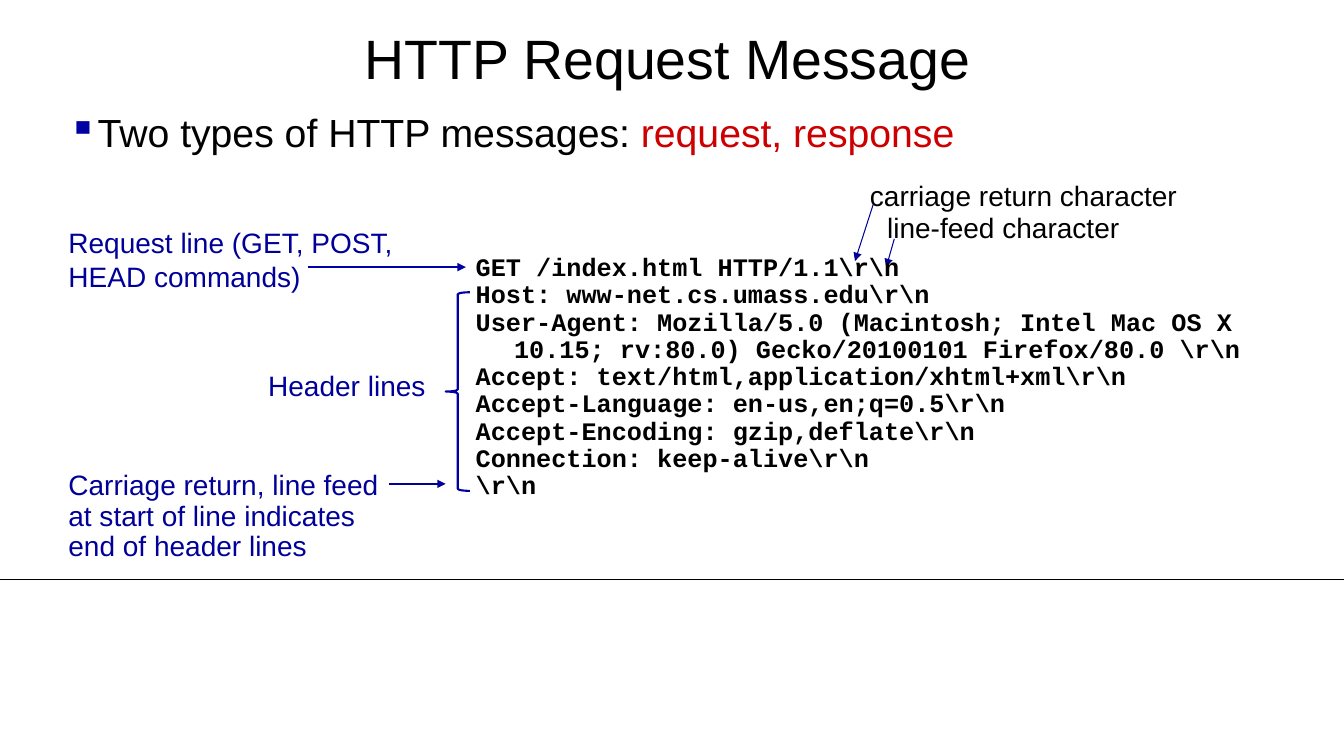
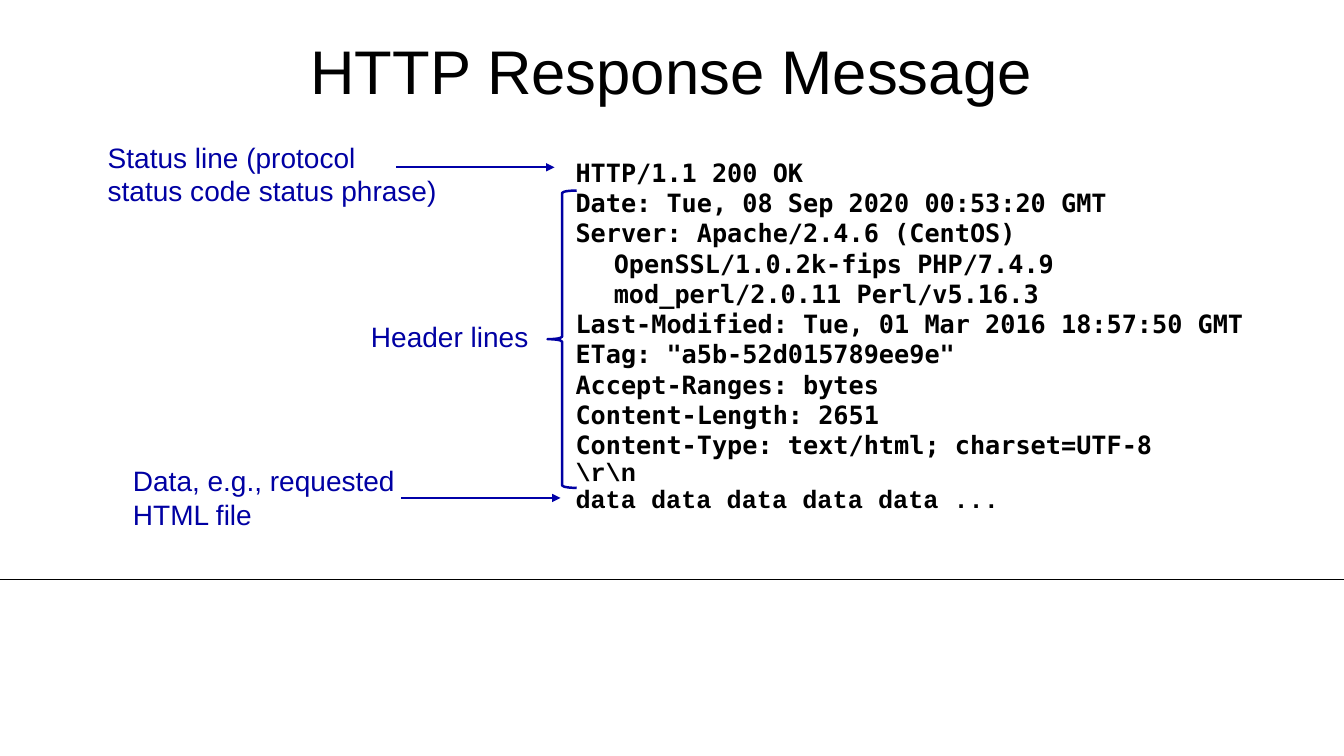
from dataclasses import dataclass, field
from typing import Any, NamedTuple

from lxml.etree import SubElement
from pptx import Presentation
from pptx.dml.color import RGBColor
from pptx.enum.shapes import MSO_CONNECTOR, MSO_SHAPE
from pptx.enum.text import MSO_ANCHOR, PP_ALIGN
from pptx.oxml.ns import qn
from pptx.slide import Slide
from pptx.util import Inches, Pt

SLIDE_WIDTH = Inches(13.33)
SLIDE_HEIGHT = Inches(7.5)
GRID_ROWS = 75
CELL = SLIDE_HEIGHT / GRID_ROWS
GRID_COLUMNS = SLIDE_WIDTH / CELL
FOOTER_ROW = 57.5

BLACK = RGBColor(0x00, 0x00, 0x00)
WHITE = RGBColor(0xFF, 0xFF, 0xFF)
RED = RGBColor(0xCC, 0x00, 0x00)
NAVY = RGBColor(0x00, 0x00, 0x99)
BLUE = RGBColor(0x00, 0x00, 0xA3)
ARROW_BLUE = RGBColor(0x00, 0x00, 0xA8)


class Area(NamedTuple):
    column: float
    row: float
    columns: float
    rows: float


@dataclass(frozen=True)
class Style:
    size: float
    color: RGBColor = BLACK
    face: str = "Arial"
    bold: bool = False
    hanging: float = 0
    bullet: str = ""
    format: dict[str, Any] = field(default_factory=dict)


class Passage(NamedTuple):
    style: Style
    lines: tuple[str, ...]
    accent: str = ""


@dataclass(frozen=True)
class TextBox:
    area: Area
    passages: tuple[Passage, ...]
    wrap: bool = True
    anchor: MSO_ANCHOR = MSO_ANCHOR.TOP


class Line(NamedTuple):
    start: tuple[float, float]
    end: tuple[float, float]
    color: RGBColor = ARROW_BLUE
    weight: float = 1.5
    arrow: bool = True


class Brace(NamedTuple):
    area: Area
    weight: float


class SlideContent(NamedTuple):
    boxes: tuple[TextBox, ...]
    lines: tuple[Line, ...]
    brace: Brace


TIGHT = {"line_spacing": 0.9}
RIGHT = {"alignment": PP_ALIGN.RIGHT}
BULLET_POINT = Style(28, hanging=2.6, bullet="▪", format=TIGHT)
CHARACTER_NOTE = Style(20)
REQUEST_NOTE = Style(20, NAVY)
REQUEST_END_NOTE = Style(20, NAVY, format=TIGHT)
REQUEST_HEADER_NOTE = Style(20, NAVY, format=TIGHT | RIGHT)
RESPONSE_NOTE = Style(20, BLUE)
RESPONSE_HEADER_NOTE = Style(20, BLUE, format=RIGHT)
COURIER_CODE = Style(18, face="Courier New", bold=True, hanging=3.8, format=TIGHT)
DEJAVU_CODE = Style(18, face="DejaVu Sans Mono", bold=True, hanging=3.8)
FOOTER_LINE = Line((0, FOOTER_ROW), (GRID_COLUMNS, FOOTER_ROW), BLACK, 0.5, False)


def title(text: str, area: Area, size: float) -> TextBox:
    style = Style(size, format=TIGHT | {"alignment": PP_ALIGN.CENTER})
    return TextBox(area, (Passage(style, (text,)),), anchor=MSO_ANCHOR.MIDDLE)


def note(area: Area, style: Style, *lines: str, wrap: bool = True) -> TextBox:
    return TextBox(area, (Passage(style, lines),), wrap)


REQUEST = SlideContent(
    boxes=(
        title("HTTP Request Message", Area(8.7, 2.8, 115, 6.6), 39.6),
        TextBox(
            Area(5.8, 10.8, 127.5, 15.6),
            (Passage(BULLET_POINT, ("Two types of HTTP messages: ",), "request, response"),),
        ),
        note(Area(25, 36.4, 18.2, 4.1), REQUEST_HEADER_NOTE, "Header lines"),
        note(
            Area(46.2, 24.8, 86.6, 25.6),
            COURIER_CODE,
            r"GET /index.html HTTP/1.1\r\n",
            r"Host: www-net.cs.umass.edu\r\n",
            r"User-Agent: Mozilla/5.0 (Macintosh; Intel Mac OS X 10.15; rv:80.0) "
            r"Gecko/20100101 Firefox/80.0 \r\n",
            r"Accept: text/html,application/xhtml+xml\r\n",
            r"Accept-Language: en-us,en;q=0.5\r\n",
            r"Accept-Encoding: gzip,deflate\r\n",
            r"Connection: keep-alive\r\n",
            r"\r\n",
        ),
        note(Area(85.3, 17.2, 32.6, 4.4), CHARACTER_NOTE, "carriage return character", wrap=False),
        note(Area(87, 20.4, 25.4, 4.4), CHARACTER_NOTE, "line-feed character", wrap=False),
        note(Area(5.8, 21.9, 34.6, 7.7), REQUEST_NOTE, "Request line (GET, POST,", "HEAD commands)"),
        note(
            Area(5.8, 46.3, 35.3, 10.1),
            REQUEST_END_NOTE,
            "Carriage return, line feed at start of line indicates end of header lines",
        ),
    ),
    lines=(
        Line((86.6, 20.3), (84.8, 25.9), NAVY, 0.75),
        Line((88.7, 23.7), (87.9, 26.5), NAVY, 0.75),
        Line((30.5, 26.5), (46.2, 26.5)),
        Line((38.6, 48), (44.2, 48), NAVY),
    ),
    brace=Brace(Area(44.2, 29, 2.4, 19.7), 1.5),
)

RESPONSE = SlideContent(
    boxes=(
        title("HTTP Response Message", Area(9.1, 2.5, 115, 9.8), 44),
        note(
            Area(9.7, 13.4, 44.4, 7.7),
            RESPONSE_NOTE,
            "Status line (protocol",
            "status code status phrase)",
        ),
        note(Area(35.3, 31.2, 18.1, 4.4), RESPONSE_HEADER_NOTE, "Header lines"),
        note(Area(12.2, 45.5, 39.4, 7.7), RESPONSE_NOTE, "Data, e.g., requested", "HTML file"),
        TextBox(
            Area(56.1, 15.1, 69, 38.2),
            (
                Passage(
                    DEJAVU_CODE,
                    (
                        "HTTP/1.1 200 OK",
                        "Date: Tue, 08 Sep 2020 00:53:20 GMT",
                        "Server: Apache/2.4.6 (CentOS) OpenSSL/1.0.2k-fips PHP/7.4.9 "
                        "mod_perl/2.0.11 Perl/v5.16.3",
                        "Last-Modified: Tue, 01 Mar 2016 18:57:50 GMT",
                        'ETag: "a5b-52d015789ee9e"',
                        "Accept-Ranges: bytes",
                        "Content-Length: 2651",
                        "Content-Type: text/html; charset=UTF-8",
                    ),
                ),
                Passage(COURIER_CODE, (r"\r\n", "data data data data data ...")),
            ),
        ),
    ),
    lines=(
        Line((39.3, 16.6), (55, 16.6)),
        Line((39.8, 49.4), (55.6, 49.4)),
    ),
    brace=Brace(Area(54.3, 18.9, 2.9, 29.5), 1.75),
)


def cells(*counts: float) -> list[int]:
    return [round(count * CELL) for count in counts]


def set_values(target: Any, values: dict[str, Any]) -> None:
    for name, value in values.items():
        setattr(target, name, value)


def add_run(paragraph: Any, text: str, style: Style, color: RGBColor) -> None:
    run = paragraph.add_run()
    run.text = text
    set_values(run.font, {"name": style.face, "size": Pt(style.size), "bold": style.bold})
    run.font.color.rgb = color


def format_paragraph(paragraph: Any, style: Style) -> None:
    set_values(paragraph, style.format)
    properties = paragraph._p.get_or_add_pPr()
    if style.hanging:
        (indent,) = cells(style.hanging)
        properties.set("marL", str(indent))
        properties.set("indent", str(-indent))
    if style.bullet:
        bullet_color = SubElement(properties, qn("a:buClr"))
        SubElement(bullet_color, qn("a:srgbClr"), val=str(BLUE))
        SubElement(properties, qn("a:buChar"), char=style.bullet)


def draw_text(slide: Slide, box: TextBox) -> None:
    frame = slide.shapes.add_textbox(*cells(*box.area)).text_frame
    set_values(frame, {"word_wrap": box.wrap, "vertical_anchor": box.anchor})
    entries = [(passage, line) for passage in box.passages for line in passage.lines]
    for index, (passage, line) in enumerate(entries):
        paragraph = frame.add_paragraph() if index else frame.paragraphs[0]
        format_paragraph(paragraph, passage.style)
        add_run(paragraph, line, passage.style, passage.style.color)
        if passage.accent:
            add_run(paragraph, passage.accent, passage.style, RED)


def draw_line(slide: Slide, line: Line) -> None:
    connector = slide.shapes.add_connector(
        MSO_CONNECTOR.STRAIGHT, *cells(*line.start, *line.end)
    )
    connector.line.color.rgb = line.color
    connector.line.width = Pt(line.weight)
    if line.arrow:
        SubElement(connector.line._get_or_add_ln(), qn("a:tailEnd"), type="triangle")
    SubElement(connector._element.spPr, qn("a:effectLst"))


def draw_brace(slide: Slide, brace: Brace) -> None:
    shape = slide.shapes.add_shape(MSO_SHAPE.LEFT_BRACE, *cells(*brace.area))
    shape.shadow.inherit = False
    shape.fill.background()
    shape.line.color.rgb = BLUE
    shape.line.width = Pt(brace.weight)


def draw_slide(slide: Slide, content: SlideContent) -> None:
    slide.background.fill.solid()
    slide.background.fill.fore_color.rgb = WHITE
    for line in (FOOTER_LINE, *content.lines):
        draw_line(slide, line)
    for box in content.boxes:
        draw_text(slide, box)
    draw_brace(slide, content.brace)


def main() -> None:
    presentation = Presentation()
    set_values(presentation, {"slide_width": SLIDE_WIDTH, "slide_height": SLIDE_HEIGHT})
    blank_layout = presentation.slide_layouts[6]
    for content in (REQUEST, RESPONSE):
        draw_slide(presentation.slides.add_slide(blank_layout), content)
    presentation.save("out.pptx")


if __name__ == "__main__":
    main()
